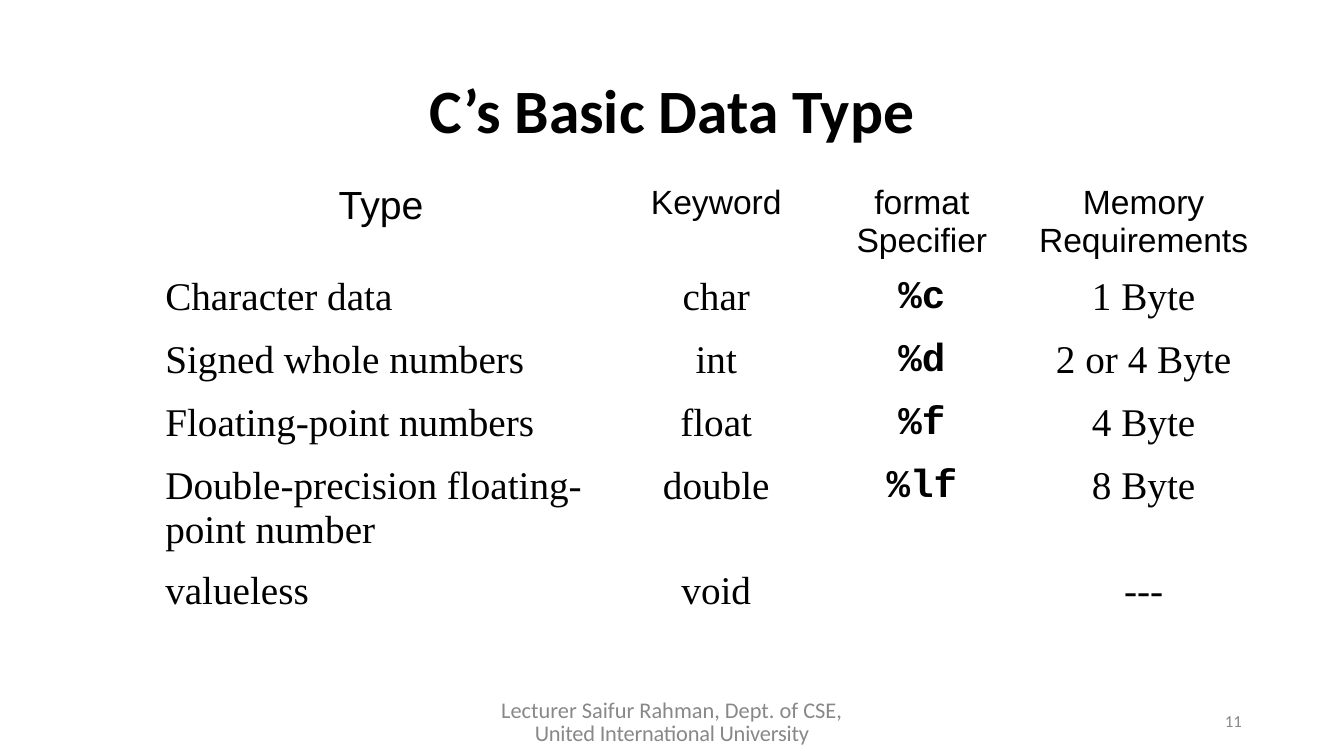
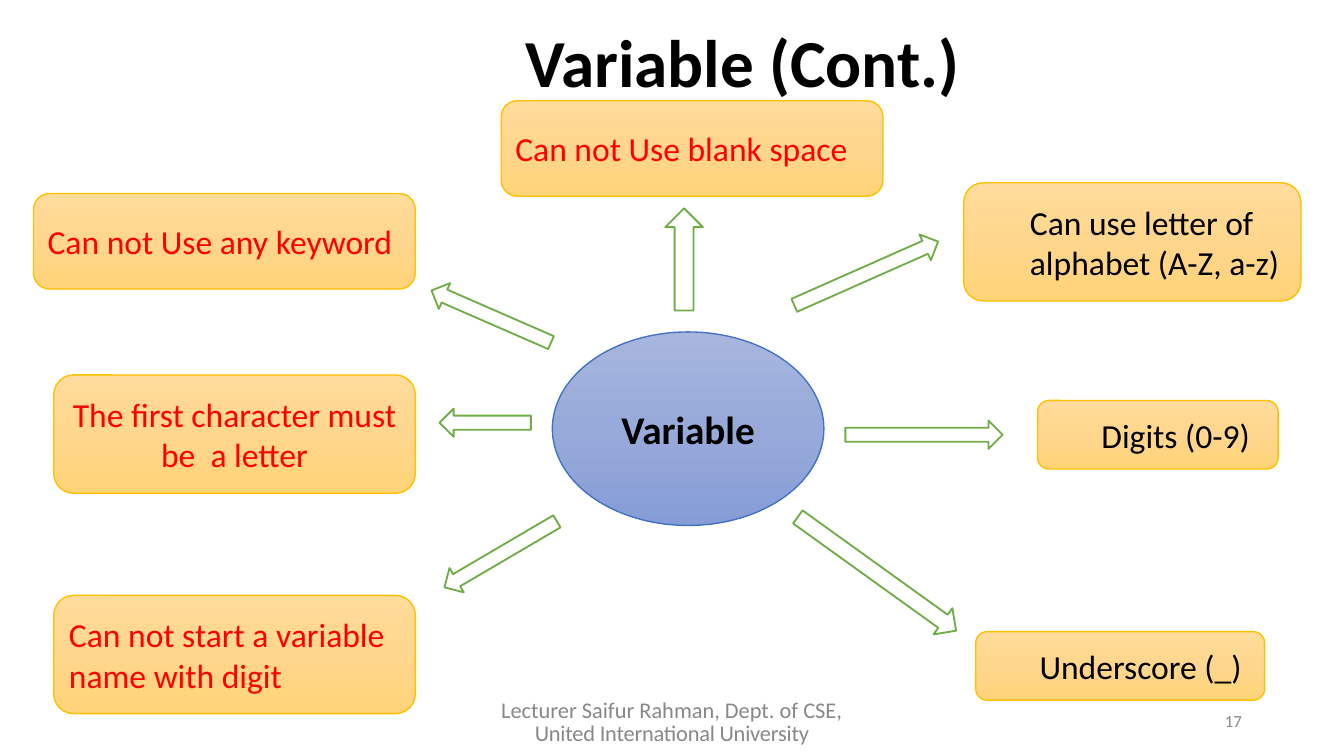
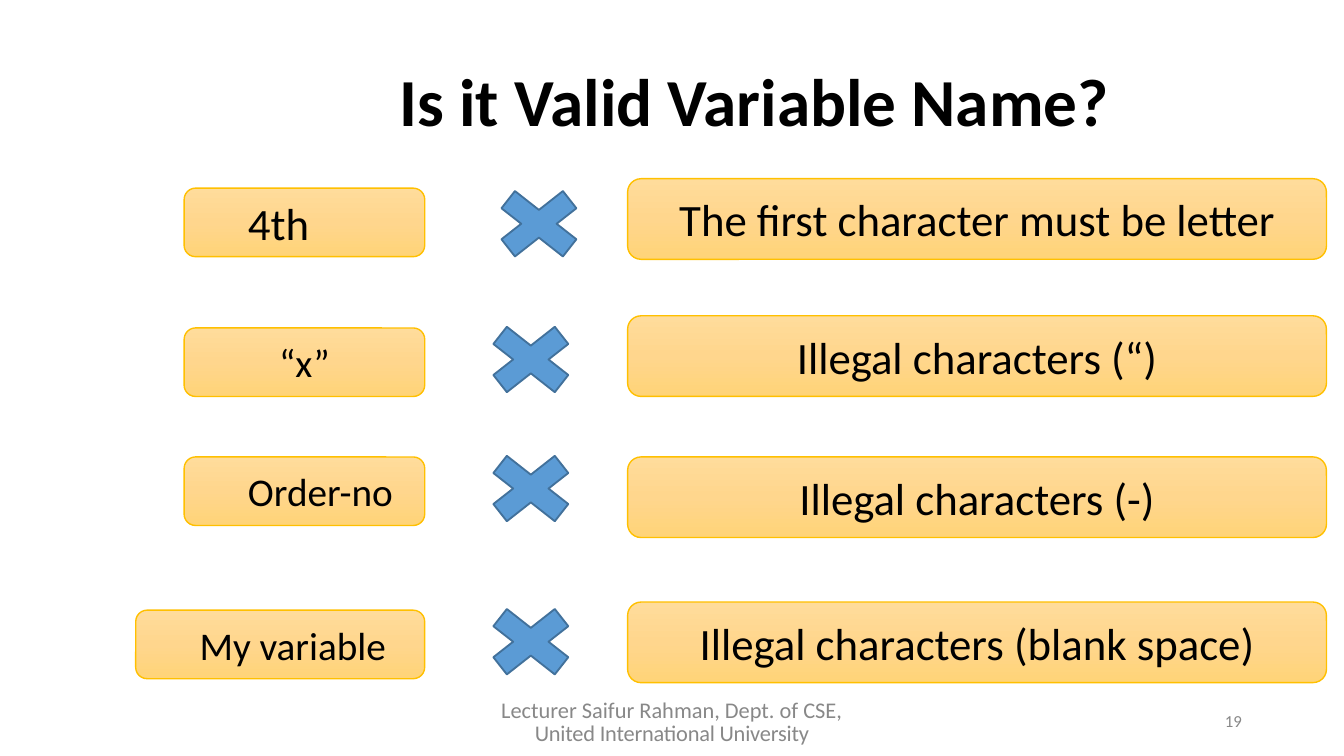
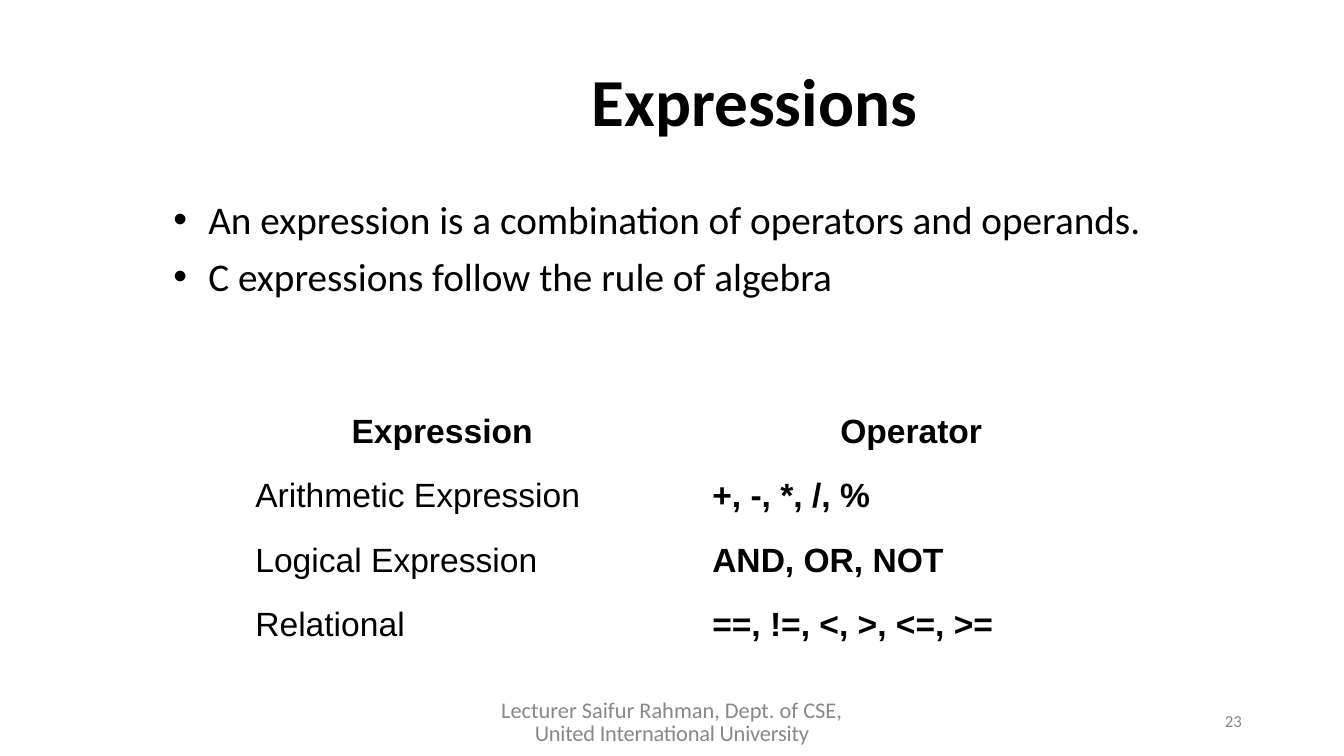
"""Build four lecture slides on C data types, variables and expressions."""
from copy import deepcopy

from lxml.etree import SubElement
from pptx import Presentation
from pptx.dml.color import RGBColor as Rgb
from pptx.enum.shapes import MSO_SHAPE as Shape
from pptx.enum.text import MSO_ANCHOR as Anchor, MSO_AUTO_SIZE as Fit, PP_ALIGN as Align
from pptx.oxml.ns import qn
from pptx.util import Inches, Pt

COLORS = {
    "ink": "000000", "white": "FFFFFF", "grey": "888888", "red": "FF0000",
    "gold": "FFC000", "blue": "4472C4", "green": "70AD47",
    "cross": "5B9BD5", "edge": "42719B",
}
FADES = {
    "gold": ("FFDC9B", "FFD68D", "FFD478"),
    "blue": ("A6B6DE", "98AAD9", "859CD7"),
}
FOOTER = ("Lecturer Saifur Rahman, Dept. of CSE, ", "United International University")
LEFT, MID, RIGHT = Align.LEFT, Align.CENTER, Align.RIGHT


def color(name):
    return Rgb.from_string(COLORS[name])


class Deck:
    def __init__(self):
        self.file = Presentation()
        self.file.slide_width, self.file.slide_height = Inches(10), Inches(10 * 9 / 16)
        self.slide = None

    def start(self, title, number, box, size=36):
        self.slide = self.file.slides.add_slide(self.file.slide_layouts[5])
        head = self.slide.shapes.title
        head.left, head.top, head.width, head.height = map(Inches, box)
        self.fill_text(head.text_frame, title, size, bold=True, align=MID)
        head.text_frame.paragraphs[0].line_spacing = 0.9
        self.text((7.06, 5.21, 2.25, 0.3), number, 9, "grey", align=RIGHT)
        self.footer()

    def footer(self):
        frame = self.text((3.53, 5.21, 2.94, 0.34), FOOTER[0], 12,
                          pad=(0, 0), anchor=Anchor.TOP)
        frame.auto_size = Fit.SHAPE_TO_FIT_TEXT
        para = frame.paragraphs[0]
        para.line_spacing = Pt(12.4)
        school = para.add_run()
        school.text = FOOTER[1]
        self.style(para, 12, "grey", align=MID)
        school.font._element.set("spc", "-10")

    def style(self, para, size, ink="ink", bold=False, align=LEFT, font="Calibri", indent=0):
        para.alignment = align
        if indent:
            para._p.get_or_add_pPr().set("marL", str(Inches(indent)))
        for run in para.runs:
            run.font.name, run.font.size, run.font.bold = font, Pt(size), bold
            run.font.color.rgb = color(ink)

    def fill_text(self, frame, words, size, ink="ink", pad=(0.07, 0.04),
                  anchor=Anchor.MIDDLE, **look):
        frame.text = words
        frame.word_wrap = True
        frame.vertical_anchor = anchor
        frame.margin_left = frame.margin_right = Inches(pad[0])
        frame.margin_top = frame.margin_bottom = Inches(pad[1])
        for para in frame.paragraphs:
            self.style(para, size, ink, **look)

    def text(self, box, words, size, ink="ink", **look):
        frame = self.slide.shapes.add_textbox(*map(Inches, box)).text_frame
        self.fill_text(frame, words, size, ink, **look)
        return frame

    def bullets(self, box, lines, size):
        frame = self.text(box, "\n".join(lines), size, anchor=Anchor.TOP, indent=0.26)
        for spot, para in enumerate(frame.paragraphs):
            para.line_spacing = 0.9
            if spot:
                para.space_before = Pt(8)
            props = para._p.get_or_add_pPr()
            props.set("indent", str(-Inches(0.26)))
            SubElement(props, qn("a:buFont"), typeface="Arial")
            SubElement(props, qn("a:buChar"), char="•")

    def shape(self, kind, box, fill, line, width=1.0, turn=0):
        shape = self.slide.shapes.add_shape(kind, *map(Inches, box))
        shape.shadow.inherit = False
        shape.rotation = turn
        shape.line.color.rgb = color(line)
        shape.line.width = Pt(width)
        if fill in FADES:
            self.fade(shape, FADES[fill])
        else:
            shape.fill.solid()
            shape.fill.fore_color.rgb = color(fill)
        return shape

    def fade(self, shape, tones):
        shape.fill.gradient()
        shape.fill.gradient_angle = 270
        stops = next(shape._element.iter(qn("a:gsLst")))
        stops.insert(1, deepcopy(stops[0]))
        for stop, tone, place in zip(shape.fill.gradient_stops, tones, (0, 0.5, 1)):
            stop.color.rgb = Rgb.from_string(tone)
            stop.position = place

    def label(self, box, words, size, ink="ink", tone="gold",
              kind=Shape.ROUNDED_RECTANGLE, **look):
        shape = self.shape(kind, box, tone, tone, 0.75)
        self.fill_text(shape.text_frame, words, size, ink, **look)

    def arrow(self, box, turn=0):
        self.shape(Shape.RIGHT_ARROW, box, "white", "green", turn=turn)

    def cross(self, left, top):
        self.shape(Shape.MATH_MULTIPLY, (left, top, 0.88, 0.69), "cross", "edge")

    def table(self, box, widths, heights, rows, head, looks):
        frame = self.slide.shapes.add_table(len(rows), len(widths), *map(Inches, box))
        table = frame.table
        table.first_row = table.horz_banding = False
        for col, width in zip(table.columns, widths):
            col.width = Inches(width)
        for row, height in zip(table.rows, heights):
            row.height = Inches(height)
        frame.width, frame.height = map(Inches, box[2:])
        for r, row in enumerate(rows):
            for c, words in enumerate(row):
                self.cell(table.cell(r, c), words, looks[c] if r else head[c])

    def cell(self, cell, words, look):
        cell.fill.background()
        cell.margin_left = cell.margin_right = Inches(0.08)
        cell.margin_top = cell.margin_bottom = Inches(0.04)
        cell.text_frame.text = words
        for para in cell.text_frame.paragraphs:
            self.style(para, **look)

    def save(self):
        self.file.save("out.pptx")


def show_types(deck):
    deck.start("C’s Basic Data Type", "11", (0.69, 0.3, 8.62, 1.09), 33)
    name = dict(size=21, font="Times New Roman")
    word = dict(name, align=MID)
    code = dict(size=21, font="Courier New", bold=True, align=MID)
    head = dict(size=18, font="Arial", align=MID)
    rows = [
        ("Type", "Keyword", "format\nSpecifier", "Memory\nRequirements"),
        ("Character data", "char", "%c", "1 Byte"),
        ("Signed whole numbers", "int", "%d", "2 or 4 Byte"),
        ("Floating-point numbers", "float", "%f", "4 Byte"),
        ("Double-precision floating-point number", "double", "%lf", "8 Byte"),
        ("valueless", "void", "", "---"),
    ]
    deck.table((1.15, 1.33, 8.29, 3.34), (3.37, 1.62, 1.44, 1.86),
               (0.61, 0.47, 0.47, 0.47, 0.7, 0.47),
               rows, [dict(head, size=21), head, head, head], [name, word, code, word])


def show_rules(deck):
    deck.start("Variable (Cont.)", "17", (1.87, 0.08, 7.31, 0.82))
    deck.label((4.11, 2.47, 2.02, 1.44), "Variable", 21, tone="blue",
               kind=Shape.OVAL, bold=True, align=MID)
    allowed = [
        ((7.17, 1.36, 2.51, 0.88), "Can use letter of alphabet (A-Z, a-z)"),
        ((7.72, 2.98, 1.79, 0.51), "Digits (0-9)"),
        ((7.26, 4.7, 2.15, 0.51), "Underscore (_)"),
    ]
    for box, words in allowed:
        deck.label(box, words, 18, indent=0.38)
    banned = [
        ((0.4, 4.43, 2.69, 0.88), "Can not start a variable name with digit", LEFT),
        ((0.4, 2.79, 2.69, 0.88), "The first character must be  a letter", MID),
        ((0.25, 1.44, 2.84, 0.71), "Can not Use any keyword", LEFT),
        ((3.73, 0.75, 2.84, 0.71), "Can not Use blank space", LEFT),
    ]
    for box, words, align in banned:
        deck.label(box, words, 18, "red", align=align)
    arrows = [
        ((5.86, 1.93, 1.17, 0.21), 336.1), ((6.29, 3.13, 1.17, 0.21), 0),
        ((5.8, 4.15, 1.45, 0.24), 35.7), ((3.24, 4.02, 0.97, 0.21), 149.6),
        ((3.27, 3.04, 0.68, 0.21), 180), ((3.17, 2.25, 0.97, 0.21), 203.6),
        ((4.71, 1.79, 0.76, 0.28), 270),
    ]
    for box, turn in arrows:
        deck.arrow(box, turn)


def show_names(deck):
    deck.start("Is it Valid Variable Name?", "19", (1.96, 0.37, 7.31, 0.82))
    inset, middle = dict(indent=0.38), dict(align=MID)
    rows = [
        (1.4, 1.79, "4th", 24, inset, (3.57, 1.32), 1.33, "The first character must be letter"),
        (2.44, 1.79, "“x”", 21, middle, (3.51, 2.33), 2.35, "Illegal characters (“)"),
        (3.4, 1.79, "Order-no", 21, inset, (3.51, 3.29), 3.4, "Illegal characters (-)"),
        (4.54, 2.15, "My variable", 21, inset, (3.51, 4.43), 4.48,
         "Illegal characters (blank space)"),
    ]
    for top, width, name, size, look, mark, level, reason in rows:
        deck.label((3.16 - width, top, width, 0.51), name, size, **look)
        deck.cross(*mark)
        deck.label((4.67, level, 5.2, 0.6), reason, 24, align=MID)


def show_maths(deck):
    deck.start("Expressions", "23", (1.96, 0.37, 7.31, 0.82))
    deck.bullets((1.22, 1.45, 8.58, 3.87), [
        "An expression is a combination of operators and operands.",
        "C expressions follow the rule of algebra",
    ], 21)
    plain = dict(size=18, font="Arial")
    head = dict(plain, bold=True, align=MID)
    rows = [
        ("Expression", "Operator"),
        ("Arithmetic Expression", "+, -, *, /, %"),
        ("Logical Expression", "AND, OR, NOT"),
        ("Relational", "==, !=, <, >, <=, >="),
    ]
    deck.table((1.82, 3.03, 6.99, 1.93), (2.94, 4.04), [0.48] * 4, rows,
               [head, head], [plain, dict(plain, bold=True, indent=0.46)])


def main():
    deck = Deck()
    for show in (show_types, show_rules, show_names, show_maths):
        show(deck)
    deck.save()


if __name__ == "__main__":
    main()
